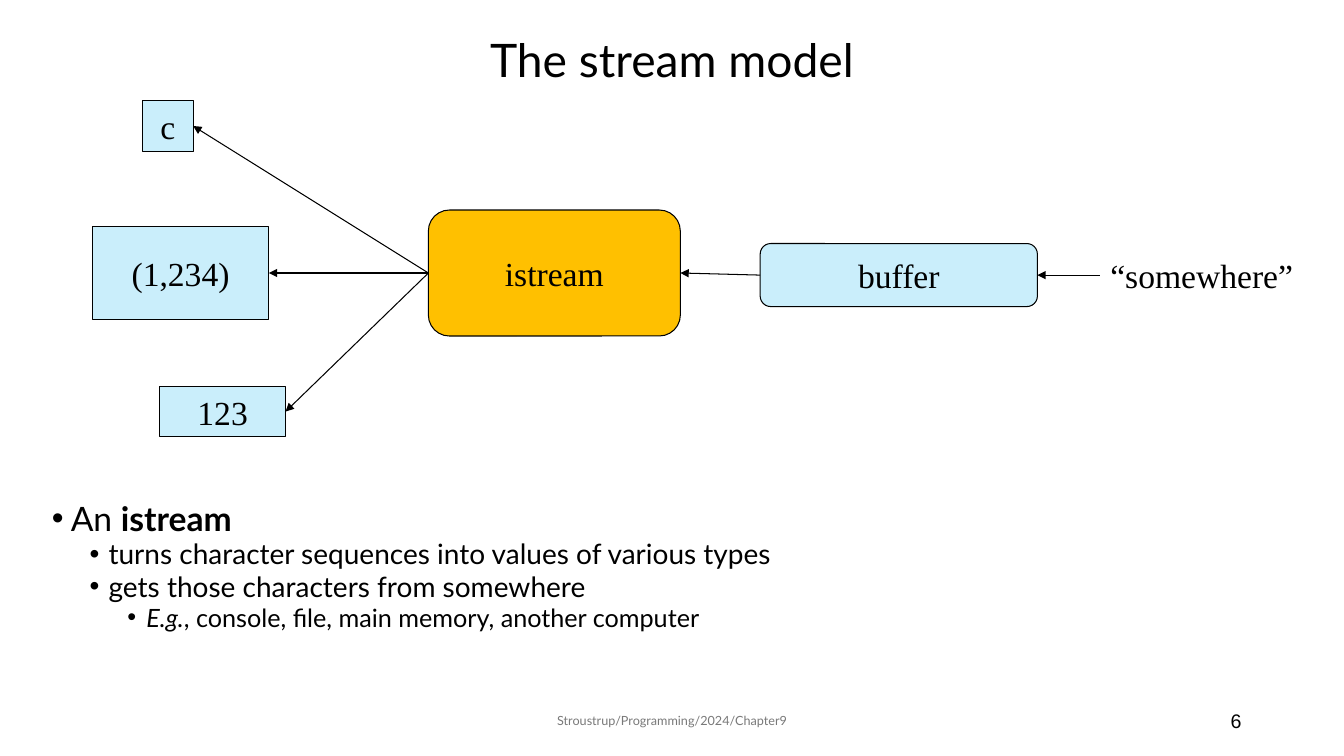
import pptx
import pptx.util
import pptx.dml.color
import pptx.enum.shapes
import pptx.enum.text
import pptx.oxml.ns
from lxml import etree

SCALE = 9525
HUES = {"ink": "000000", "gray": "797979", "sky": "CAEEFB", "gold": "FFC000"}
SHAPE = pptx.enum.shapes.MSO_SHAPE
ALIGN = pptx.enum.text.PP_ALIGN
ANCHOR = pptx.enum.text.MSO_ANCHOR
LEFT, RIGHT = 1, 3


def px(num):
    return pptx.util.Emu(num * SCALE)


def hue(name):
    return pptx.dml.color.RGBColor.from_string(HUES[name])


def node(root, tag, **attrs):
    return etree.SubElement(root, pptx.oxml.ns.qn(tag), attrs)


def write(para, text, size=24, font="Times New Roman", color="ink",
          bold=False, slant=False):
    run = para.add_run()
    run.text = text
    face = run.font
    face.size = pptx.util.Pt(size)
    face.name = font
    face.bold = bold
    face.italic = slant
    face.color.rgb = hue(color)


class Deck:
    def __init__(self, wide, high):
        self.file = pptx.Presentation()
        self.file.slide_width = px(wide)
        self.file.slide_height = px(high)
        self.slide = self.file.slides.add_slide(self.file.slide_layouts[6])
        self.items = self.slide.shapes
        self.line = pptx.util.Pt(0.75)

    def label(self, area, text, align=ALIGN.CENTER, space=1.0, **style):
        box = self.items.add_textbox(*map(px, area))
        frame = box.text_frame
        frame.word_wrap = True
        frame.vertical_anchor = ANCHOR.MIDDLE
        para = frame.paragraphs[0]
        para.alignment = align
        para.line_spacing = space
        write(para, text, **style)
        return box

    def block(self, area, text, kind=SHAPE.RECTANGLE, fill="sky"):
        box = self.items.add_shape(kind, *map(px, area))
        box.shadow.inherit = False
        box.fill.solid()
        box.fill.fore_color.rgb = hue(fill)
        box.line.color.rgb = hue("ink")
        box.line.width = self.line
        frame = box.text_frame
        frame.word_wrap = False
        frame.vertical_anchor = ANCHOR.MIDDLE
        para = frame.paragraphs[0]
        para.alignment = ALIGN.CENTER
        write(para, text)
        return box

    def arrow(self, goal, start):
        link = self.items.add_connector(
            pptx.enum.shapes.MSO_CONNECTOR.STRAIGHT, 0, 0, 0, 0)
        link.begin_connect(goal, RIGHT)
        link.end_connect(start, LEFT)
        link.line.color.rgb = hue("ink")
        link.line.width = self.line
        node(link.line._get_or_add_ln(), "a:headEnd", type="triangle")
        node(link._element.spPr, "a:effectLst")

    def points(self, area, rows):
        frame = self.items.add_textbox(*map(px, area)).text_frame
        frame.word_wrap = True
        for spot, (level, size, parts) in enumerate(rows):
            para = frame.add_paragraph() if spot else frame.paragraphs[0]
            para.level = level
            para.line_spacing = 0.8
            para.space_before = pptx.util.Pt(3.8 if level else 7.5)
            props = para._p.get_or_add_pPr()
            props.set("marL", str(px(18 + 36 * level)))
            props.set("indent", str(px(-18)))
            node(props, "a:buFont", typeface="Arial")
            node(props, "a:buChar", char="•")
            for text, style in parts:
                write(para, text, size=size, font="Lato", **style)


def main():
    deck = Deck(1280, 720)
    deck.label((232, 0, 816, 120), "The stream model", space=0.9,
               size=33, font="Lato")
    deck.label((424, 667, 432, 38), "Stroustrup/Programming/2024/Chapter9",
               size=9, font="Lato", color="gray")
    deck.label((904, 667, 288, 38), "6", align=ALIGN.RIGHT,
               size=14, font="Arial")

    values = [deck.block(area, text) for area, text in (
        ((136, 96, 48, 48), "c"),
        ((88, 216, 168, 88), "(1,234)"),
        ((152, 368, 120, 48), "123"),
    )]
    stream = deck.block((408, 200, 240, 120), "istream",
                        SHAPE.ROUNDED_RECTANGLE, "gold")
    buffer = deck.block((724, 232, 264, 60), "buffer",
                        SHAPE.ROUNDED_RECTANGLE)
    source = deck.label((1048, 238, 208, 48), "“somewhere”",
                        align=ALIGN.LEFT)

    for value in values:
        deck.arrow(value, stream)
    deck.arrow(stream, buffer)
    deck.arrow(buffer, source)

    deck.points((40, 477, 816, 144), (
        (0, 24, (("An ", {}), ("istream", {"bold": True}))),
        (1, 20, (("turns character sequences into values of various types",
                  {}),)),
        (1, 20, (("gets those characters from somewhere", {}),)),
        (2, 18, (("E.g.", {"slant": True}),
                 (", console, file, main memory, another computer", {}))),
    ))
    deck.file.save("out.pptx")


if __name__ == "__main__":
    main()
